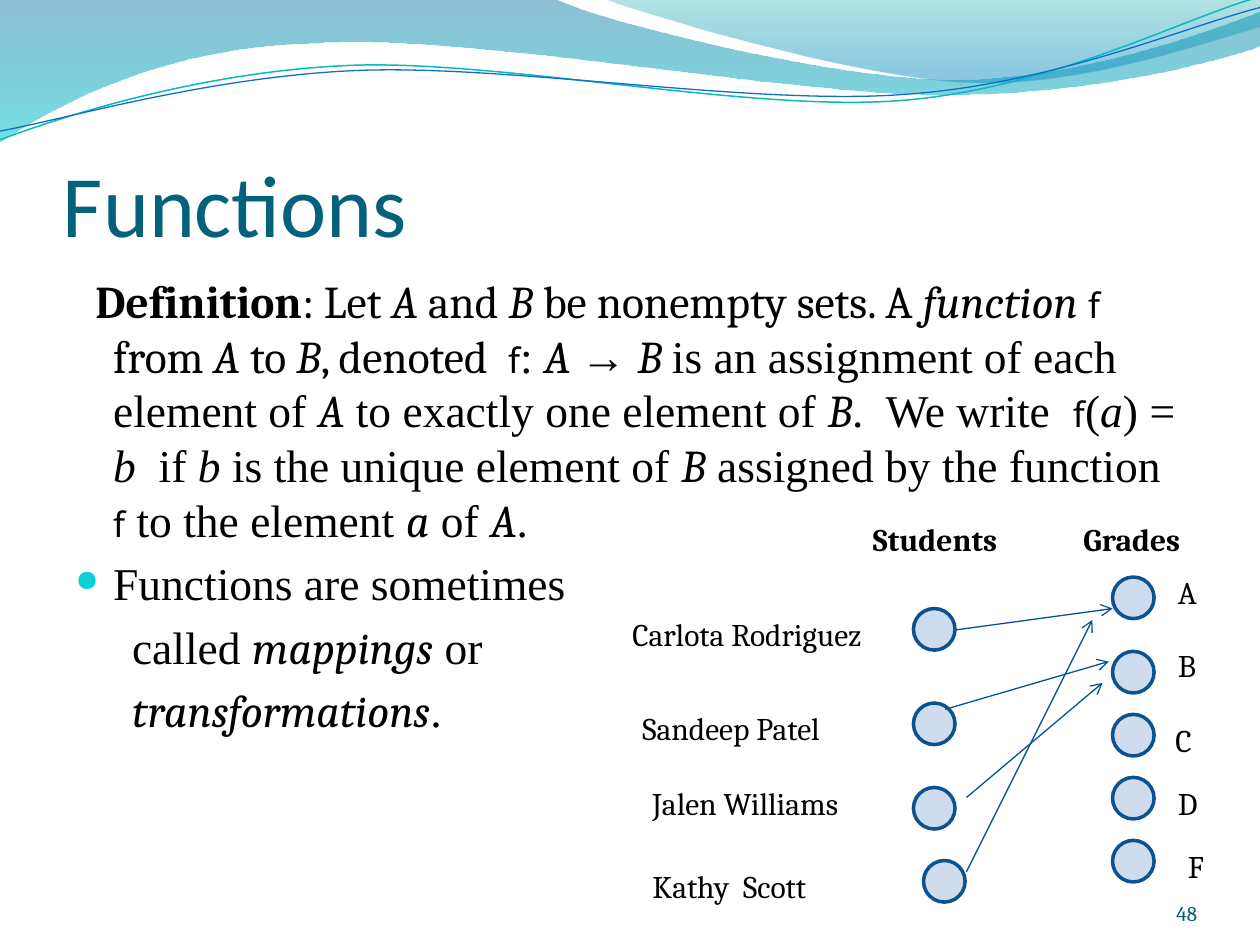
from typing import NamedTuple

from lxml.etree import SubElement
from pptx import Presentation
from pptx.dml.color import RGBColor
from pptx.enum.shapes import MSO_CONNECTOR, MSO_SHAPE
from pptx.enum.text import MSO_ANCHOR, PP_ALIGN
from pptx.oxml.ns import qn
from pptx.util import Inches, Pt

HEADING = "Calibri"
SERIF = "Cambria"
ROMAN = "Times New Roman"
SANS = "Noto Sans"
CIRCLE_SIZE = 0.33


class Run(NamedTuple):
    text: str
    font: str = SERIF
    size: float = 26
    color: str = "000000"
    bold: bool = False
    italic: bool = False


class Paragraph(NamedTuple):
    runs: list[Run]
    margin: float = 0
    indent: float = 0
    bullet: str = ""
    space_before: float = 0


class Member(NamedTuple):
    name: str
    name_at: tuple[float, float]
    circle_at: tuple[float, float]


class Ribbon(NamedTuple):
    start: tuple[float, float]
    segments: list[tuple[float, ...]]
    stops: list[tuple[float, str, int]]


class Strand(NamedTuple):
    start: tuple[float, float]
    segments: list[tuple[float, ...]]
    color: str
    width: float


def rgb(color: str) -> RGBColor:
    return RGBColor.from_string(color)


def roman(text: str, italic: bool = False) -> Run:
    return Run(text, ROMAN, italic=italic)


def italic(text: str) -> Run:
    return Run(text, italic=True)


def add_outline(slide, wave: Ribbon | Strand, closed: bool):
    builder = slide.shapes.build_freeform(*map(Inches, wave.start))
    for segment in wave.segments:
        lengths = [Inches(value) for value in segment]
        builder.add_line_segments(list(zip(lengths[::2], lengths[1::2])), close=False)
    if closed:
        builder.add_line_segments([], close=True)
    outline = builder.convert_to_shape()
    outline.shadow.inherit = False
    corners = iter(list(outline._element.spPr.iter(qn("a:lnTo"))))
    for segment in wave.segments:
        first = next(corners)
        if len(segment) == 6:
            curve = first.makeelement(qn("a:cubicBezTo"))
            first.addprevious(curve)
            for corner in (first, next(corners), next(corners)):
                curve.append(corner[0])
                corner.getparent().remove(corner)
    return outline


def set_opacity(shape, *percents: int) -> None:
    for color, percent in zip(shape._element.spPr.iter(qn("a:srgbClr")), percents):
        SubElement(color, qn("a:alpha"), val=str(percent * 1000))


def add_ribbon(slide, ribbon: Ribbon) -> None:
    shape = add_outline(slide, ribbon, closed=True)
    shape.fill.gradient()
    shape.fill.gradient_angle = 270
    for stop, (position, color, _) in zip(shape.fill.gradient_stops, ribbon.stops):
        stop.position = position
        stop.color.rgb = rgb(color)
    set_opacity(shape, *(opacity for _, _, opacity in ribbon.stops))
    shape.line.fill.background()


def add_strand(slide, strand: Strand) -> None:
    shape = add_outline(slide, strand, closed=False)
    shape.fill.background()
    shape.line.color.rgb = rgb(strand.color)
    shape.line.width = Pt(strand.width)


def add_text(slide, box, paragraphs: list[Paragraph], *, align=PP_ALIGN.LEFT,
             anchor=MSO_ANCHOR.TOP, insets=(0.1, 0.05, 0.1, 0.05)) -> None:
    frame = slide.shapes.add_textbox(*map(Inches, box)).text_frame
    frame.word_wrap = True
    frame.vertical_anchor = anchor
    (frame.margin_left, frame.margin_top,
     frame.margin_right, frame.margin_bottom) = map(Inches, insets)
    for index, content in enumerate(paragraphs):
        paragraph = frame.add_paragraph() if index else frame.paragraphs[0]
        paragraph.alignment = align
        if content.space_before:
            paragraph.space_before = Pt(content.space_before)
        properties = paragraph._p.get_or_add_pPr()
        properties.set("marL", str(Inches(content.margin)))
        properties.set("indent", str(Inches(content.indent)))
        if content.bullet:
            bullet_color = SubElement(properties, qn("a:buClr"))
            SubElement(bullet_color, qn("a:srgbClr"), val="0BD0D9")
            SubElement(properties, qn("a:buSzPct"), val="65000")
            SubElement(properties, qn("a:buChar"), char=content.bullet)
        for part in content.runs:
            run = paragraph.add_run()
            run.text = part.text
            run.font.name = part.font
            run.font.size = Pt(part.size)
            run.font.bold = part.bold
            run.font.italic = part.italic
            run.font.color.rgb = rgb(part.color)


def add_label(slide, text: str, left: float, top: float, width: float,
              bold: bool = False) -> None:
    add_text(slide, (left, top, width, 0.4), [Paragraph([Run(text, size=18, bold=bold)])])


def add_member(slide, member: Member, width: float) -> None:
    circle = slide.shapes.add_shape(MSO_SHAPE.FLOWCHART_CONNECTOR,
                                    *map(Inches, (*member.circle_at, CIRCLE_SIZE, CIRCLE_SIZE)))
    circle.shadow.inherit = False
    circle.fill.solid()
    circle.fill.fore_color.rgb = rgb("4F81BD")
    set_opacity(circle, 27)
    circle.line.color.rgb = rgb("0B5292")
    circle.line.width = Pt(2)
    add_label(slide, member.name, *member.name_at, width)


def add_arrow(slide, start, end) -> None:
    arrow = slide.shapes.add_connector(MSO_CONNECTOR.STRAIGHT, *map(Inches, (*start, *end)))
    arrow.line.color.rgb = rgb("095295")
    arrow.line.width = Pt(0.75)
    SubElement(arrow.line._get_or_add_ln(), qn("a:tailEnd"), type="arrow")
    SubElement(arrow._element.spPr, qn("a:effectLst"))


RIBBONS = [
    Ribbon((0, 0), [(4.4, -0.01), (4.76, 0.17, 6.64, 0.63, 7.58, 0.63),
                    (8.53, 0.63, 9.58, 0.26, 10, 0.09), (10.01, 0.36),
                    (9.83, 0.44, 8.7, 0.76, 7.46, 0.75), (6.22, 0.75, 3.82, 0.28, 2.57, 0.34),
                    (1.29, 0.36, 0.46, 0.83, -0.01, 1.13)],
           [(0, "0074A1", 45), (1, "00C6CF", 55)]),
    Ribbon((4.79, -0.01), [(5.09, 0.11, 6.82, 0.62, 7.69, 0.65),
                           (8.56, 0.69, 9.61, 0.32, 10, 0.21), (10, 0)],
           [(0, "00A1A9", 30), (0.8, "008BBF", 45)]),
]
STRANDS = [
    Strand((0, 1.11), [(0.48, 0.93, 1.58, 0.57, 2.77, 0.52), (3.95, 0.47, 5.93, 0.89, 7.13, 0.8),
                       (8.33, 0.71, 9.38, 0.15, 9.98, -0.02)], "0AB8BF", 0.85),
    Strand((0, 1.04), [(0.47, 0.96, 1.64, 0.61, 2.83, 0.56), (4.03, 0.51, 5.97, 0.84, 7.17, 0.75),
                       (8.36, 0.67, 9.41, 0.21, 10, 0.06)], "0F6FC6", 0.75),
]
F = Run("f", SANS, 20)
DEFINITION = [
    Run("Definition", bold=True), Run(": Let "), italic("A"), Run(" and "), italic("B "),
    Run("be nonempty sets. A "), italic("function "), F, Run(" ", SANS), Run("from "),
    italic("A"), Run(" to "), italic("B"), Run(", denoted  "), F, roman(": "), italic("A "),
    roman("→ "), italic("B "), roman("is an assignment of each element of "), italic("A"),
    roman(" to exactly one element of "), italic("B"), roman(".  We write  "), F, roman("("),
    roman("a", True), roman(") = "), roman("b  ", True), roman("if "), roman("b", True),
    roman(" is the unique element of "), italic("B"), roman(" assigned by the function "), F,
    roman(" to the element "), italic("a"), roman(" of "), italic("A"), roman("."),
]
BODY = [
    Paragraph(DEFINITION, 0.3, -0.14),
    Paragraph([roman("Functions are sometimes")], 0.3, -0.3, "●", 5.2),
    Paragraph([roman("called "), italic("mappings"), roman(" or")], 0.45, space_before=5.2),
    Paragraph([italic("transformations"), roman(".")], 0.45, space_before=5.2),
]
STUDENTS = [
    Member("Carlota Rodriguez", (4.92, 4.83), (7.25, 4.83)),
    Member("Sandeep Patel", (5, 5.58), (7.25, 5.58)),
    Member("Jalen Williams", (5.08, 6.17), (7.25, 6.25)),
    Member("Kathy  Scott", (5.08, 6.83), (7.33, 6.83)),
]
GRADES = [
    Member("A", (9.25, 4.5), (8.83, 4.58)),
    Member("B", (9.25, 5.08), (8.83, 5.17)),
    Member("C", (9.23, 5.67), (8.83, 5.67)),
    Member("D", (9.25, 6.17), (8.83, 6.17)),
    Member("F", (9.33, 6.67), (8.83, 6.67)),
]
ASSIGNMENTS = [
    ((7.58, 5), (8.83, 4.83)),
    ((7.5, 5.63), (8.8, 5.25)),
    ((7.67, 6.33), (8.75, 5.42)),
    ((7.67, 6.92), (8.67, 4.92)),
]


def main() -> None:
    deck = Presentation()
    deck.slide_width, deck.slide_height = Inches(10), Inches(7.5)
    slide = deck.slides.add_slide(deck.slide_layouts[6])
    for ribbon in RIBBONS:
        add_ribbon(slide, ribbon)
    for strand in STRANDS:
        add_strand(slide, strand)
    add_text(slide, (0.5, 0.77, 9, 1.25), [Paragraph([Run("Functions", HEADING, 50, "04617B")])],
             anchor=MSO_ANCHOR.BOTTOM, insets=(0, 0.05, 0, 0))
    add_text(slide, (0.5, 2.12, 9, 4.8), BODY)
    add_label(slide, "Students", 6.83, 4.08, 1.75, bold=True)
    add_label(slide, "Grades", 8.5, 4.08, 1.17, bold=True)
    for members, width in ((STUDENTS, 2.3), (GRADES, 0.4)):
        for member in members:
            add_member(slide, member, width)
    for start, end in ASSIGNMENTS:
        add_arrow(slide, start, end)
    add_text(slide, (8.67, 6.95, 0.83, 0.4), [Paragraph([Run("48", size=12, color="045D75")])],
             align=PP_ALIGN.RIGHT, anchor=MSO_ANCHOR.BOTTOM, insets=(0, 0, 0, 0))
    deck.save("out.pptx")


if __name__ == "__main__":
    main()
